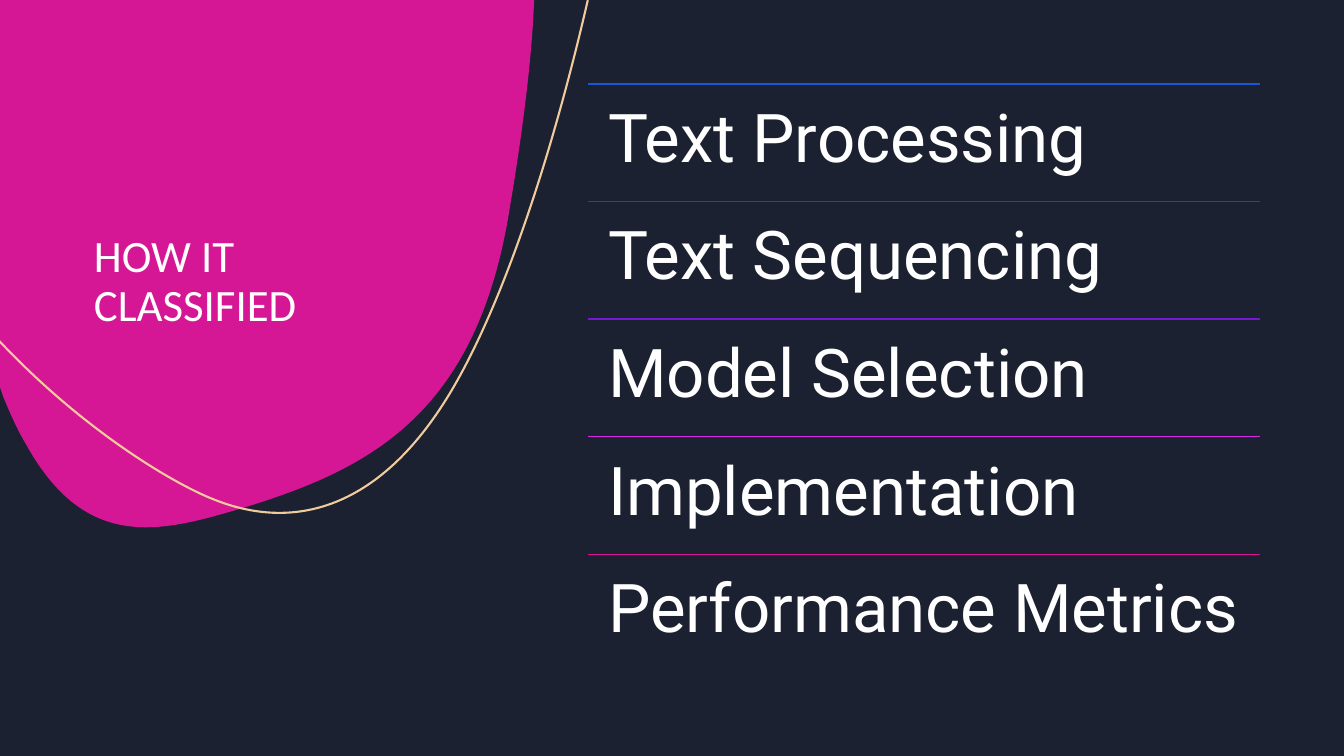
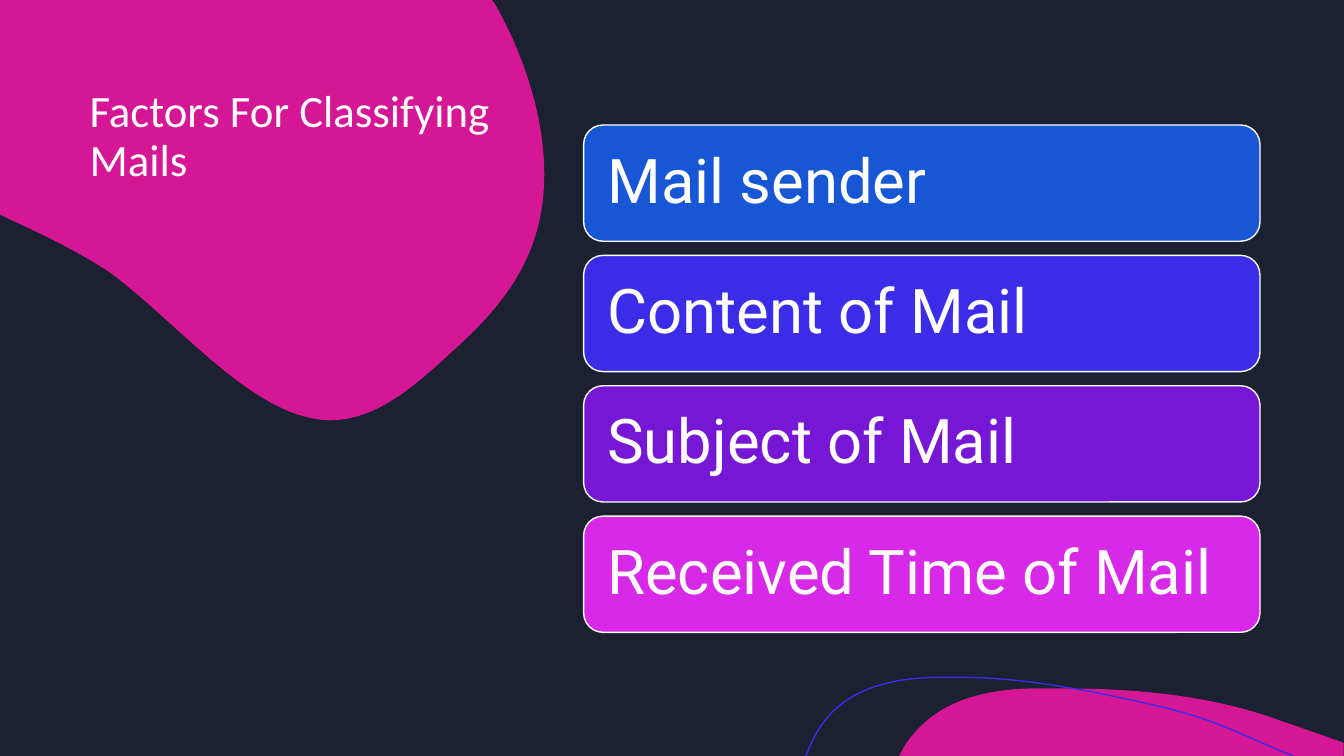
from pptx import Presentation
from pptx.dml.color import RGBColor
from pptx.enum.shapes import MSO_CONNECTOR, MSO_SHAPE
from pptx.enum.text import MSO_ANCHOR, PP_ALIGN
from pptx.oxml.ns import qn
from pptx.util import Pt
from lxml.etree import SubElement

PX = 3048  # EMU per px, 300 px to the inch
GRID = 3   # px per step of the outline grid
NAVY = RGBColor(0x1B, 0x21, 0x30)
PINK = RGBColor(0xD5, 0x17, 0x96)
SAND = RGBColor(0xF1, 0xCB, 0x9C)
WHITE = RGBColor(0xFF, 0xFF, 0xFF)
BLUE = RGBColor(0x17, 0x56, 0xD5)
INDIGO = RGBColor(0x3B, 0x2C, 0xE7)
PURPLE = RGBColor(0x76, 0x17, 0xD5)
MAGENTA = RGBColor(0xD7, 0x29, 0xE7)
ACCENTS = [BLUE, INDIGO, PURPLE, MAGENTA, PINK]

STEPS = ["Text Processing", "Text Sequencing", "Model Selection",
         "Implementation", "Performance Metrics"]
FACTORS = ["Mail sender", "Content of Mail", "Subject of Mail",
           "Received Time of Mail"]

# Outlines: a start point, then (x, y) for a line or six numbers for a curve.
DROP = [(530, 0), (529, 20), (525, 82, 516, 146, 505, 211),
        (472, 411, 367, 465, 244, 503), (161, 528, 86, 549, 26, 441),
        (17, 426, 10, 410, 3, 393), (0, 384), (0, 0), (530, 0)]
SWOOP = [(583, 0), (583, 1), (547, 157, 501, 293, 454, 377),
         (383, 504, 294, 529, 211, 495), (173, 480, 84, 428, 0, 339),
         (0, 338)]
CLOUD = [(0, 0), (488, 0), (491, 4), (523, 60, 545, 131, 539, 194),
         (532, 270, 486, 315, 444, 353), (409, 385, 372, 417, 327, 417),
         (252, 415, 182, 325, 110, 271), (88, 256, 61, 242, 32, 228),
         (0, 213), (0, 0)]
MOUND = [(1054, 683), (1128, 683, 1204, 690, 1273, 716),
         (1286, 720, 1298, 725, 1311, 729), (1333, 737), (1333, 750),
         (892, 750), (898, 739), (902, 733, 906, 728, 911, 723),
         (939, 693, 982, 684, 1023, 683), (1033, 683, 1043, 683, 1054, 683)]
RIPPLE = [(799, 750), (800, 749), (806, 733, 814, 719, 824, 708),
          (850, 681, 889, 673, 926, 672), (955, 672),
          (1022, 672, 1100, 689, 1155, 702), (1209, 715, 1226, 727, 1283, 750)]


def px(*values):
    return [round(v * PX) for v in values]


def trace(outline, steps=24):
    """List points along an outline, to find its true extent."""
    points = [outline[0]]
    for part in outline[1:]:
        if len(part) == 2:
            points.append(part)
            continue
        knots = [points[-1], part[:2], part[2:4], part[4:]]
        for i in range(1, steps + 1):
            t = i / steps
            u = 1 - t
            weights = (u**3, 3 * u * u * t, 3 * u * t * t, t**3)
            points.append(tuple(sum(w * k[axis] for w, k in zip(weights, knots))
                                for axis in (0, 1)))
    return [tuple(px(x * GRID, y * GRID)) for x, y in points]


def bend(shape, outline, close):
    """Give a freeform true cubic curves in place of its short segments."""
    route = next(shape._element.iter(qn("a:path")))
    for child in list(route):
        route.remove(child)
    tags = {2: "a:lnTo", 6: "a:cubicBezTo"}
    for i, part in enumerate(outline):
        move = SubElement(route, qn(tags[len(part)] if i else "a:moveTo"))
        for x, y in zip(part[::2], part[1::2]):
            x, y = px(x * GRID, y * GRID)
            SubElement(move, qn("a:pt"), x=str(x - shape.left),
                       y=str(y - shape.top))
    if close:
        SubElement(route, qn("a:close"))


def paint(shape, fill=None, line=None, width=1):
    shape.shadow.inherit = False
    if fill is None:
        shape.fill.background()
    else:
        shape.fill.solid()
        shape.fill.fore_color.rgb = fill
    if line is None:
        shape.line.fill.background()
    else:
        shape.line.color.rgb = line
        shape.line.width = Pt(width)


def add_curve(slide, outline, fill=None, line=None, width=1):
    start, *rest = trace(outline)
    close = fill is not None
    pen = slide.shapes.build_freeform(*start)
    pen.add_line_segments(rest, close=close)
    shape = pen.convert_to_shape()
    bend(shape, outline, close)
    paint(shape, fill, line, width)


def write(shape, text, font, size, anchor, inset=None):
    frame = shape.text_frame
    frame.word_wrap = True
    frame.vertical_anchor = anchor
    if inset is not None:
        gap, = px(inset)
        frame.margin_left = frame.margin_right = gap
        frame.margin_top = frame.margin_bottom = gap
    par = frame.paragraphs[0]
    par.text = text
    par.alignment = PP_ALIGN.LEFT
    par.line_spacing = 0.9
    par.font.name = font
    par.font.size = Pt(size)
    par.font.color.rgb = WHITE


def add_title(slide, text, box, anchor):
    write(slide.shapes.add_textbox(*px(*box)), text, "Calibri", 32, anchor)


def add_rule(slide, left, top, width, color):
    rule = slide.shapes.add_connector(
        MSO_CONNECTOR.STRAIGHT, *px(left, top, left + width, top))
    rule.line.color.rgb = color
    rule.line.width = Pt(1)
    SubElement(rule._element.spPr, qn("a:effectLst"))


def add_rows(slide, items, left, top, width, height):
    for i, (text, color) in enumerate(zip(items, ACCENTS)):
        y = top + i * height
        add_rule(slide, left, y, width, color)
        row = slide.shapes.add_textbox(*px(left, y, width, height))
        write(row, text, "Roboto", 48, MSO_ANCHOR.TOP, 60)


def add_cards(slide, items, left, top, width, height, gap):
    for i, (text, color) in enumerate(zip(items, ACCENTS)):
        y = top + i * (height + gap)
        card = slide.shapes.add_shape(
            MSO_SHAPE.ROUNDED_RECTANGLE, *px(left, y, width, height))
        paint(card, color, WHITE)
        write(card, text, "Roboto", 44, MSO_ANCHOR.MIDDLE, 54)


def main():
    prs = Presentation()
    prs.slide_width, prs.slide_height = px(4000, 2250)
    back = prs.slide_master.background.fill
    back.solid()
    back.fore_color.rgb = NAVY
    blank = prs.slide_layouts[6]

    steps = prs.slides.add_slide(blank)
    add_curve(steps, DROP, fill=PINK)
    add_curve(steps, SWOOP, line=SAND, width=1.5)
    add_title(steps, "HOW IT CLASSIFIED", (250, 250, 1000, 750),
              MSO_ANCHOR.BOTTOM)
    add_rows(steps, STEPS, 1750, 250, 2000, 350)

    factors = prs.slides.add_slide(blank)
    add_curve(factors, CLOUD, fill=PINK)
    add_title(factors, "Factors For Classifying Mails", (237, 250, 1263, 750),
              MSO_ANCHOR.TOP)
    add_curve(factors, MOUND, fill=PINK)
    add_curve(factors, RIPPLE, line=INDIGO)
    add_cards(factors, FACTORS, 1737, 372, 2013, 346, 42)

    prs.save("out.pptx")


if __name__ == "__main__":
    main()
